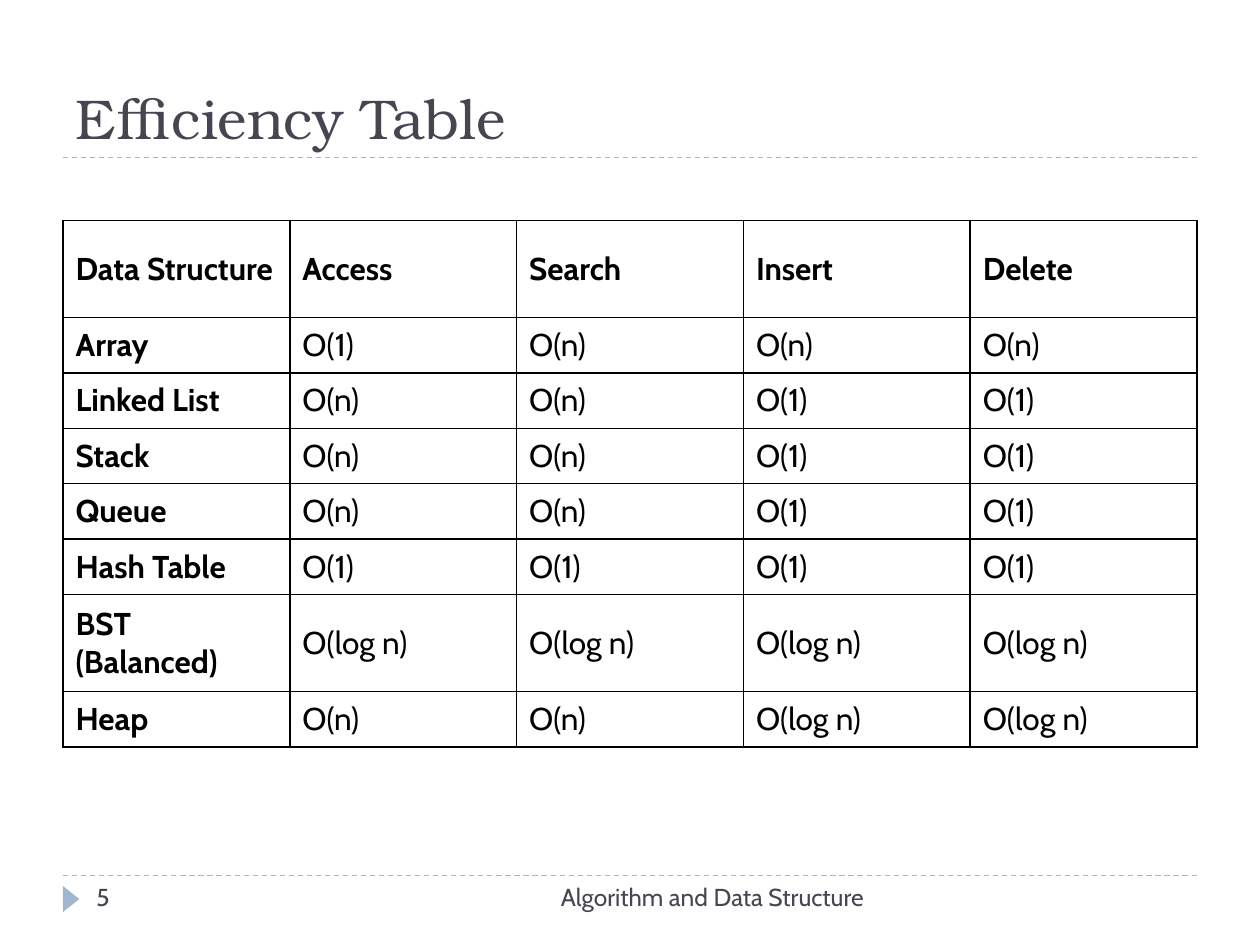
from lxml.etree import SubElement
from pptx import Presentation
from pptx.dml.color import RGBColor
from pptx.enum.dml import MSO_LINE
from pptx.enum.shapes import MSO_CONNECTOR, MSO_SHAPE
from pptx.enum.text import MSO_ANCHOR, MSO_AUTO_SIZE, PP_ALIGN
from pptx.oxml.ns import qn
from pptx.util import Pt

# Content
TITLE = "Efficiency Table"
FOOTER = "Algorithm and Data Structure "
PAGE = "5"
ROWS = [
    ("Data Structure", "Access", "Search", "Insert", "Delete"),
    ("Array", "O(1)", "O(n)", "O(n)", "O(n)"),
    ("Linked List", "O(n)", "O(n)", "O(1)", "O(1)"),
    ("Stack", "O(n)", "O(n)", "O(1)", "O(1)"),
    ("Queue", "O(n)", "O(n)", "O(1)", "O(1)"),
    ("Hash Table", "O(1)", "O(1)", "O(1)", "O(1)"),
    ("BST (Balanced)", "O(log n)", "O(log n)", "O(log n)", "O(log n)"),
    ("Heap", "O(n)", "O(n)", "O(log n)", "O(log n)"),
]

# Style and layout, in points
HEADING, BODY = "TeX Gyre Bonum", "Cabin"
INK, ACCENT, BLACK = "464653", "9FB8CD", "000000"
LEFT, WIDTH = 36, 648
TITLE_RULE, TABLE_TOP, FOOTER_RULE = 90, 126, 500.4
ROW_H, TALL_ROW_H = 31.68, 55.44
TALL_ROWS = (0, 6)


def rgb(value):
    return RGBColor.from_string(value)


def write(tf, text, font=BODY, size=18, color=BLACK, bold=False,
          align=PP_ALIGN.LEFT, anchor=MSO_ANCHOR.TOP):
    tf.word_wrap = True
    tf.vertical_anchor = anchor
    p = tf.paragraphs[0]
    p.alignment = align
    r = p.add_run()
    r.text = text
    r.font.name, r.font.size, r.font.bold = font, Pt(size), bold
    r.font.color.rgb = rgb(color)


def add_rule(s, y):
    line = s.shapes.add_connector(MSO_CONNECTOR.STRAIGHT, Pt(LEFT), Pt(y),
                                  Pt(LEFT + WIDTH), Pt(y))
    line.line.color.rgb = rgb(ACCENT)
    line.line.width = Pt(0.75)
    line.line.dash_style = MSO_LINE.DASH
    SubElement(line._element.spPr, qn("a:effectLst"))


def add_label(s, x, w, text, align):
    sp = s.shapes.add_textbox(Pt(x), Pt(FOOTER_RULE), Pt(w), Pt(28.8))
    write(sp.text_frame, text, size=14, color=INK, align=align)


def add_borders(cell):
    tc_pr = cell._tc.get_or_add_tcPr()
    for i, side in enumerate(("lnL", "lnR", "lnT", "lnB")):
        ln = tc_pr.makeelement(qn(f"a:{side}"), {"w": str(Pt(1))})
        fill = SubElement(ln, qn("a:solidFill"))
        SubElement(fill, qn("a:srgbClr"), val=BLACK)
        tc_pr.insert(i, ln)  # borders come before the fill


def add_efficiency_table(s):
    heights = [TALL_ROW_H if i in TALL_ROWS else ROW_H for i in range(len(ROWS))]
    cols = len(ROWS[0])
    table = s.shapes.add_table(len(ROWS), cols, Pt(LEFT), Pt(TABLE_TOP),
                               Pt(WIDTH), Pt(sum(heights))).table
    table.horz_banding = False
    for col in table.columns:
        col.width = Pt(WIDTH / cols)
    for i, values in enumerate(ROWS):
        table.rows[i].height = Pt(heights[i])
        for j, value in enumerate(values):
            cell = table.cell(i, j)
            cell.fill.background()
            cell.vertical_anchor = MSO_ANCHOR.MIDDLE
            write(cell.text_frame, value, bold=i == 0 or j == 0,
                  anchor=None)
            add_borders(cell)


def main():
    prs = Presentation()
    prs.slide_width, prs.slide_height = Pt(720), Pt(540)
    s = prs.slides.add_slide(prs.slide_layouts[5])

    # Rules and page marker
    for y in (FOOTER_RULE, TITLE_RULE):
        add_rule(s, y)
    sp = s.shapes.add_shape(MSO_SHAPE.ISOSCELES_TRIANGLE,
                            Pt(33.1), Pt(509), Pt(15), Pt(9.5))
    sp.rotation = 90
    sp.shadow.inherit = False
    sp.fill.solid()
    sp.fill.fore_color.rgb = rgb(ACCENT)
    sp.line.fill.background()

    # Title
    title = s.shapes.title
    title.left, title.top = Pt(LEFT), Pt(12.24)
    title.width, title.height = Pt(WIDTH), Pt(TITLE_RULE - 12.24)
    title.text_frame.auto_size = MSO_AUTO_SIZE.NONE
    write(title.text_frame, TITLE, font=HEADING, size=32, color=INK,
          anchor=MSO_ANCHOR.BOTTOM)

    # Footer
    add_label(s, 228, 276, FOOTER, PP_ALIGN.RIGHT)
    add_label(s, 48, 156, PAGE, PP_ALIGN.LEFT)

    add_efficiency_table(s)
    prs.save("out.pptx")


if __name__ == "__main__":
    main()
